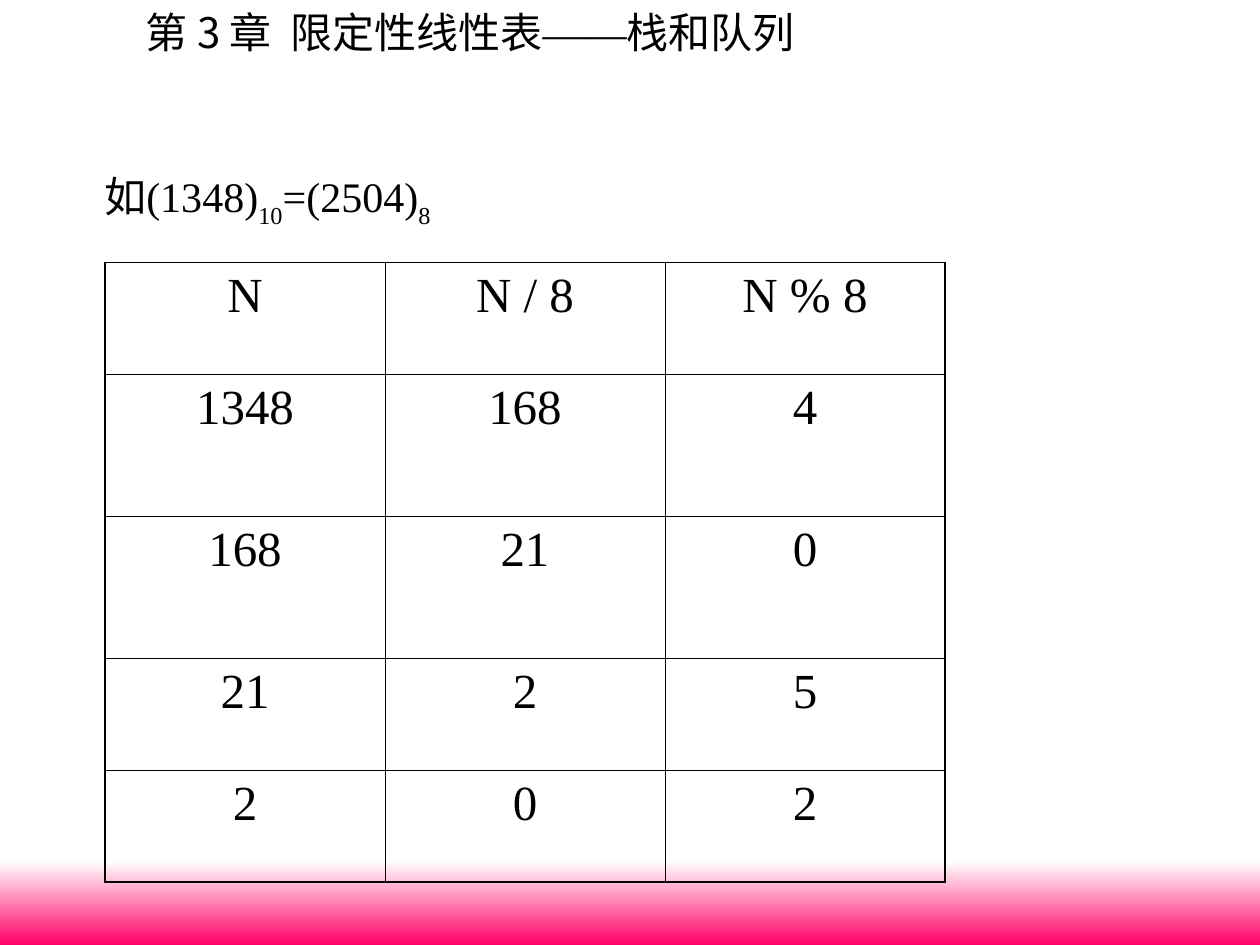
from lxml.etree import SubElement as Sub
from pptx import Presentation
from pptx.dml.color import RGBColor
from pptx.enum.shapes import MSO_SHAPE as Kind
from pptx.enum.text import MSO_ANCHOR as Anchor, PP_ALIGN as Align
from pptx.oxml.ns import qn
from pptx.util import Inches, Pt

WIDE, HIGH = Inches(10), Inches(7.5)
COLS, ROWS = 120, 90
HAN, ROMAN = "Noto Sans CJK SC", "Times New Roman"
BLACK = "000000"
THICK, THIN = 1.08, 0.45


def paint(code):
    return RGBColor.from_string(code)


def place(box):
    x, y, w, h = box
    return (round(x * WIDE / COLS), round(y * HIGH / ROWS),
            round(w * WIDE / COLS), round(h * HIGH / ROWS))


def write(para, text, font=ROMAN, size=24, color=BLACK, base=0, gap=0):
    run = para.add_run()
    run.text = text
    run.font.size = Pt(size)
    run.font.name = font
    run.font.color.rgb = paint(color)
    props = run._r.get_or_add_rPr()
    Sub(props, qn("a:ea")).set("typeface", font)
    if base:
        props.set("baseline", str(base * 1000))
    if gap:
        props.set("spc", str(round(gap * 100)))


def add_box(slide, box, wrap):
    frame = slide.shapes.add_textbox(*place(box)).text_frame
    frame.word_wrap = wrap
    frame.vertical_anchor = Anchor.TOP
    return frame.paragraphs[0]


def add_band(slide, box):
    band = slide.shapes.add_shape(Kind.RECTANGLE, *place(box))
    band.shadow.inherit = False
    band.line.fill.background()
    band.fill.gradient()
    band.fill.gradient_angle = 270
    for stop, color in zip(band.fill.gradient_stops, ("FFFFFF", "FF0066")):
        stop.color.rgb = paint(color)


def add_title(slide, box):
    para = add_box(slide, box, False)
    write(para, "第 3 章", font=HAN)
    write(para, " ", font=HAN, gap=5.4)
    write(para, "限定性线性表", font=HAN)
    write(para, "——")
    write(para, "栈和队列", font=HAN)


def add_sum(slide, box):
    para = add_box(slide, box, True)
    write(para, "如", font=HAN)
    for text, low in (("(1348)", "10"), ("=(2504)", "8")):
        write(para, text)
        write(para, low, base=-30)


def edge(cell, side, width):
    line = Sub(cell._tc.get_or_add_tcPr(), qn(f"a:ln{side}"), w=str(Pt(width)))
    fill = Sub(line, qn("a:solidFill"))
    Sub(fill, qn("a:srgbClr"), val=BLACK)


def add_steps(slide, box, data, sizes):
    count, span = len(data), len(data[0])
    table = slide.shapes.add_table(count, span, *place(box)).table
    table.first_row = table.horz_banding = False
    left, top, width, height = place(box)
    for col in table.columns:
        col.width = round(width / span)
    for row, size in zip(table.rows, sizes):
        row.height = round(height * size / sum(sizes))
    for r, line in enumerate(data):
        for c, text in enumerate(line):
            cell = table.cell(r, c)
            outer = {"L": c == 0, "R": c == span - 1,
                     "T": r == 0, "B": r == count - 1}
            for side, rim in outer.items():
                edge(cell, side, THICK if rim else THIN)
            cell.fill.background()
            para = cell.text_frame.paragraphs[0]
            para.alignment = Align.CENTER
            write(para, text, size=28)


def main():
    deck = Presentation()
    deck.slide_width, deck.slide_height = WIDE, HIGH
    slide = deck.slides.add_slide(deck.slide_layouts[6])
    data = (("N", "N / 8", "N % 8"),
            ("1348", "168", "4"),
            ("168", "21", "0"),
            ("21", "2", "5"),
            ("2", "0", "2"))
    add_band(slide, (0, 82, COLS, 8))
    add_title(slide, (12.7, 0, 67.2, 6))
    add_sum(slide, (8.75, 15.6, 95.2, 11.6))
    add_steps(slide, (10, 25, 80, 59), data, (0.89, 1.13, 1.13, 0.89, 0.89))
    deck.save("out.pptx")


if __name__ == "__main__":
    main()
